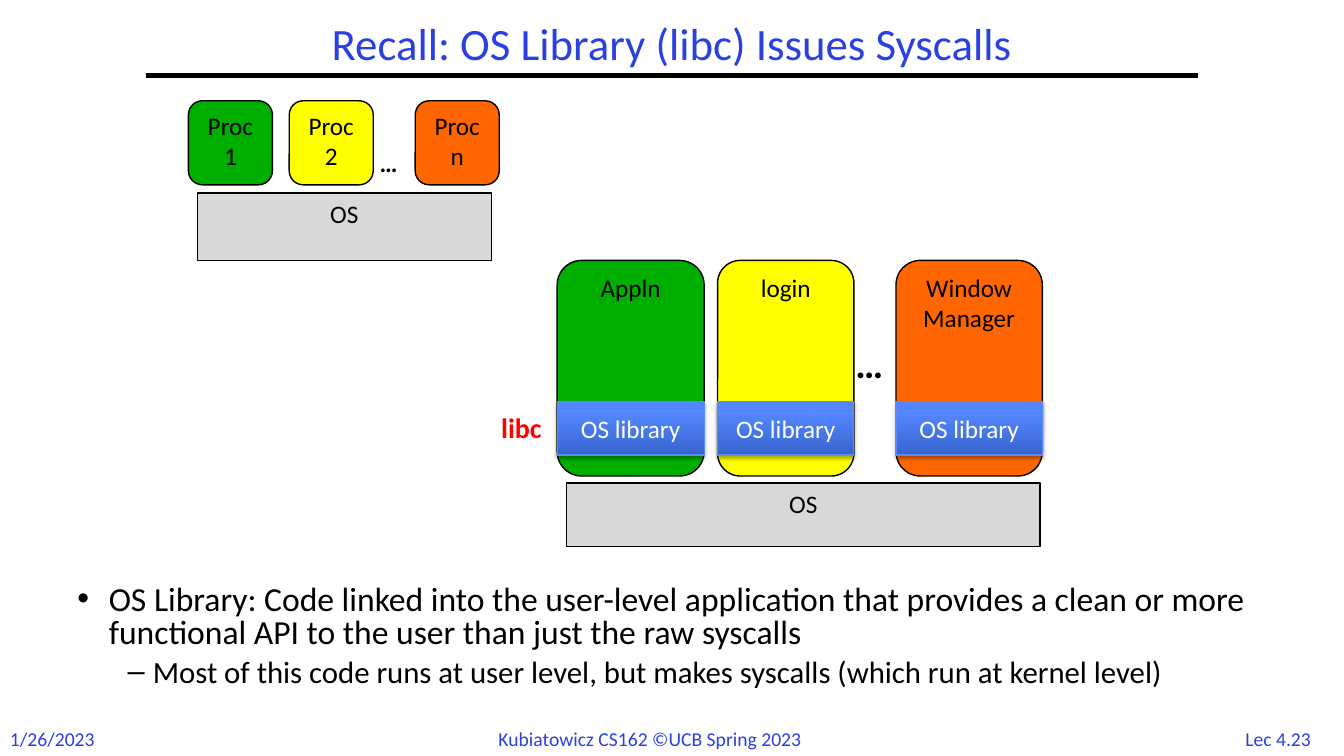
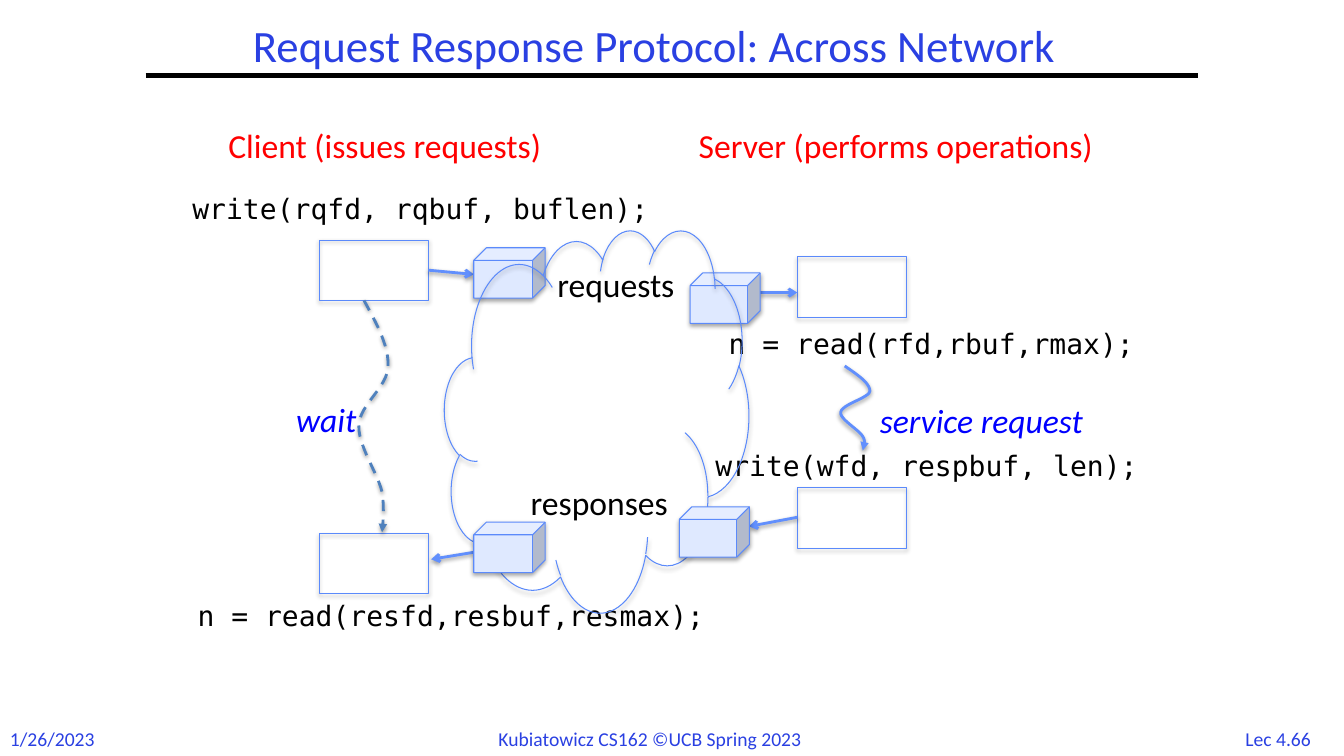
from lxml.etree import SubElement
from pptx import Presentation
from pptx.dml.color import RGBColor
from pptx.enum.dml import MSO_LINE
from pptx.enum.shapes import MSO_CONNECTOR, MSO_SHAPE
from pptx.enum.text import MSO_ANCHOR, MSO_AUTO_SIZE, PP_ALIGN
from pptx.oxml.ns import qn
from pptx.util import Pt

BLACK = RGBColor(0x00, 0x00, 0x00)
WHITE = RGBColor(0xFF, 0xFF, 0xFF)
TITLE_BLUE = RGBColor(0x2A, 0x40, 0xE2)
NOTE_BLUE = RGBColor(0x00, 0x00, 0xFF)
RED = RGBColor(0xFF, 0x00, 0x00)
GREEN = RGBColor(0x00, 0xAE, 0x00)
YELLOW = RGBColor(0xFF, 0xFF, 0x00)
ORANGE = RGBColor(0xFF, 0x66, 0x00)
GREY = RGBColor(0xD9, 0xD9, 0xD9)
PALE_BLUE = RGBColor(0xDF, 0xE9, 0xFF)
EDGE_BLUE = RGBColor(0x5B, 0x8A, 0xFB)
ARROW_BLUE = RGBColor(0x61, 0x8F, 0xFD)
STEEL = RGBColor(0x4F, 0x81, 0xBD)
GRADIENT = ((0, RGBColor(0x37, 0x64, 0xCE)), (0.8, RGBColor(0x54, 0x87, 0xFF)))

SANS = "Calibri"
MONO = "DejaVu Sans Mono"


def curve_points(knots, steps=12):
    points = [knots[0]]
    for i in range(0, len(knots) - 1, 3):
        a, b, c, d = knots[i:i + 4]
        for n in range(1, steps + 1):
            t = n / steps
            u = 1 - t
            points.append(tuple(
                u**3 * a[k] + 3 * u * u * t * b[k] + 3 * u * t * t * c[k] + t**3 * d[k]
                for k in (0, 1)))
    return points


class Deck:
    def __init__(self):
        self.prs = Presentation()
        self.prs.slide_width, self.prs.slide_height = Pt(960), Pt(540)
        self.s = None

    def slide(self, layout, title, title_box, number):
        self.s = self.prs.slides.add_slide(self.prs.slide_layouts.get_by_name(layout))
        self.line((104, 54), (856, 54), BLACK, 3)
        self.label("1/26/2023", 0, 515.5, 77, size=14, color=TITLE_BLUE)
        self.label("Kubiatowicz CS162 ©UCB Spring 2023", 349, 515.5, 261,
                   size=14, color=TITLE_BLUE)
        self.label(number, 878, 515.5, 70, size=14, color=TITLE_BLUE,
                   align=PP_ALIGN.CENTER)
        tf = self.place(self.s.shapes.title, title_box)
        tf.vertical_anchor = MSO_ANCHOR.MIDDLE
        tf.text = title
        tf.paragraphs[0].line_spacing = 0.9
        self.style(tf, 32, TITLE_BLUE, align=PP_ALIGN.CENTER)

    def place(self, shape, box):
        shape.left, shape.top, shape.width, shape.height = map(Pt, box)
        shape.text_frame.auto_size = MSO_AUTO_SIZE.NONE
        return shape.text_frame

    def style(self, tf, size, color, font=SANS, align=None, bold=False, italic=False):
        for p in tf.paragraphs:
            p.alignment = align
            for r in p.runs:
                r.font.name, r.font.size = font, Pt(size)
                r.font.bold, r.font.italic = bold, italic
                r.font.color.rgb = color

    def bullets(self, items, box):
        tf = self.place(self.s.placeholders[1], box)
        tf.text = "\n".join(text for text, *_ in items)
        self.style(tf, 24, BLACK)
        for p, (_, level, size, margin, hang) in zip(tf.paragraphs, items):
            p.level = level
            p.line_spacing = 0.8
            p.space_before = Pt(0.3 * size)
            p.runs[0].font.size = Pt(size)
            pPr = p._p.get_or_add_pPr()
            pPr.set("marL", str(Pt(margin)))
            pPr.set("indent", str(Pt(-hang)))

    def label(self, text, x, y, w, size=24, color=BLACK, **style):
        tf = self.s.shapes.add_textbox(Pt(x), Pt(y), Pt(w), Pt(size * 1.2 + 7.2)).text_frame
        tf.word_wrap = False
        tf.auto_size = MSO_AUTO_SIZE.SHAPE_TO_FIT_TEXT
        tf.text = text
        self.style(tf, size, color, **style)

    def code(self, text, x, y, w):
        self.label(text, x, y, w, size=20, font=MONO)

    def effects(self, shape, shadow=True, alpha=35, dist=1.8):
        effects = SubElement(shape.element.spPr, qn("a:effectLst"))
        if shadow:
            outer = SubElement(effects, qn("a:outerShdw"), blurRad=str(Pt(3.1)),
                               dist=str(Pt(dist)), dir="5400000", rotWithShape="0")
            rgb = SubElement(outer, qn("a:srgbClr"), val=str(BLACK))
            SubElement(rgb, qn("a:alpha"), val=str(alpha * 1000))

    def shape(self, kind, box, fill=None, line=EDGE_BLUE, width=0.75, shadow=True):
        sp = self.s.shapes.add_shape(kind, *map(Pt, box))
        if fill is None:
            sp.fill.background()
        elif fill is GRADIENT:
            sp.fill.gradient()
            sp.fill.gradient_angle = 90
            for stop, (position, color) in zip(sp.fill.gradient_stops, fill):
                stop.position, stop.color.rgb = position, color
        else:
            sp.fill.solid()
            sp.fill.fore_color.rgb = fill
        sp.line.color.rgb = line
        sp.line.width = Pt(width)
        self.effects(sp, shadow)
        return sp

    def block(self, text, box, fill, kind=MSO_SHAPE.RECTANGLE):
        tf = self.shape(kind, box, fill, BLACK, 1, shadow=False).text_frame
        tf.vertical_anchor = MSO_ANCHOR.TOP
        tf.text = text
        self.style(tf, 18, BLACK, align=PP_ALIGN.CENTER)

    def library(self, text, box):
        tf = self.shape(MSO_SHAPE.RECTANGLE, box, GRADIENT).text_frame
        tf.vertical_anchor = MSO_ANCHOR.MIDDLE
        tf.text = text
        self.style(tf, 18, WHITE, align=PP_ALIGN.CENTER)

    def stroke(self, sp, color, width, head=None, dash=None):
        sp.line.color.rgb = color
        sp.line.width = Pt(width)
        if dash:
            sp.line.dash_style = dash
        if head:
            SubElement(sp.element.spPr.find(qn("a:ln")), qn("a:tailEnd"), type=head)
        self.effects(sp, head is not None, alpha=38, dist=1.6)

    def line(self, start, end, color=ARROW_BLUE, width=2, head=None):
        sp = self.s.shapes.add_connector(MSO_CONNECTOR.STRAIGHT, *map(Pt, start + end))
        self.stroke(sp, color, width, head)

    def curve(self, knots, color, dash=None):
        start, *rest = [(Pt(x), Pt(y)) for x, y in curve_points(knots)]
        builder = self.s.shapes.build_freeform(*start)
        builder.add_line_segments(rest, close=False)
        sp = builder.convert_to_shape()
        sp.fill.background()
        self.stroke(sp, color, 2, "triangle", dash)


def library_slide(deck):
    deck.slide("Title and Content", "Recall: OS Library (libc) Issues Syscalls",
               (104, 12, 752, 42), "Lec 4.23")
    deck.bullets([
        ("OS Library: Code linked into the user-level application that provides a clean "
         "or more functional API to the user than just the raw syscalls", 0, 24, 22.5, 22.5),
        ("Most of this code runs at user level, but makes syscalls "
         "(which run at kernel level)", 1, 22, 54, 18),
    ], (48, 415, 888, 83))

    deck.block("OS", (141, 138, 210, 48), GREY)
    for text, x, fill in (("Proc 1", 134.6, GREEN), ("Proc 2", 206.6, YELLOW),
                          ("Proc n", 296.6, ORANGE)):
        deck.block(text, (x, 72, 60, 60), fill, MSO_SHAPE.ROUNDED_RECTANGLE)
    deck.label("…", 264, 102, 32, size=18, bold=True)

    deck.block("OS", (404.6, 345, 338.4, 45.4), GREY)
    for text, x, w, fill in (("Appln", 398, 105, GREEN), ("login", 512.6, 97.4, YELLOW),
                             ("Window Manager", 640, 104.5, ORANGE)):
        deck.block(text, (x, 186, w, 154), fill, MSO_SHAPE.ROUNDED_RECTANGLE)
        deck.library("OS library", (x, 287, w, 38))
    deck.label("…", 604, 239, 47, size=28, bold=True)
    deck.label("libc", 345, 290, 49, size=20, color=RED, bold=True, align=PP_ALIGN.RIGHT)


def protocol_slide(deck):
    deck.slide("Title Only", "Request Response Protocol: Across Network",
               (88.6, 0, 757.4, 69), "Lec 4.66")
    deck.label("Client (issues requests)", 156, 85.7, 268, color=RED)
    deck.label("Server (performs operations)", 492, 85.7, 325, color=RED)

    deck.code("write(rqfd, rqbuf, buflen);", 130.3, 133, 353)
    deck.code("n = read(rfd,rbuf,rmax);", 513.4, 229.7, 304)
    deck.code("write(wfd, respbuf, len);", 504, 317, 316)
    deck.code("n = read(resfd,resbuf,resmax);", 134, 424, 394)

    for x, y in ((228, 171.5), (569.5, 183.5), (228, 381), (569.5, 348.5)):
        deck.shape(MSO_SHAPE.RECTANGLE, (x, y, 78, 43))
    for start, end in (((306, 193), (338.4, 196)), ((543, 209), (569.5, 209)),
                       ((338.4, 394.5), (308, 399.5)), ((569.5, 369.5), (535, 376))):
        deck.line(start, end, head="arrow")

    deck.curve([(603.4, 261.4), (612.7, 267.8), (621.4, 273.6), (621.4, 279.4),
                (620.6, 284.4), (601.2, 288.7), (600.5, 294.5),
                (599.8, 299.5), (613.4, 306.7), (616.3, 311.8),
                (619.2, 316.1), (616.3, 321.8), (616.3, 321.8)], ARROW_BLUE)
    deck.label("service request", 621.4, 282, 179, color=NOTE_BLUE, italic=True)
    deck.curve([(260, 214.6), (268.6, 230.4), (278, 247), (277.2, 262),
                (276.5, 277.2), (257, 288.7), (256.3, 303.8),
                (255.6, 318.2), (270, 338.4), (272.9, 351.4),
                (275, 364.3), (272.9, 380.2), (272.9, 380.2)], STEEL, MSO_LINE.DASH)
    deck.label("wait", 204.5, 281.5, 58, color=NOTE_BLUE, italic=True)

    for kind, box, fill in ((MSO_SHAPE.CUBE, (338.4, 177, 51, 36), PALE_BLUE),
                            (MSO_SHAPE.CUBE, (493, 195, 50, 36), PALE_BLUE),
                            (MSO_SHAPE.CLOUD, (317.5, 164, 217.4, 273), None),
                            (MSO_SHAPE.CUBE, (485.3, 362, 50, 36), PALE_BLUE),
                            (MSO_SHAPE.CUBE, (338.4, 373, 51, 36), PALE_BLUE)):
        deck.shape(kind, box, fill)
    deck.label("requests", 391, 185, 107)
    deck.label("responses", 372, 341, 127)


def main():
    deck = Deck()
    library_slide(deck)
    protocol_slide(deck)
    deck.prs.save("out.pptx")


if __name__ == "__main__":
    main()
